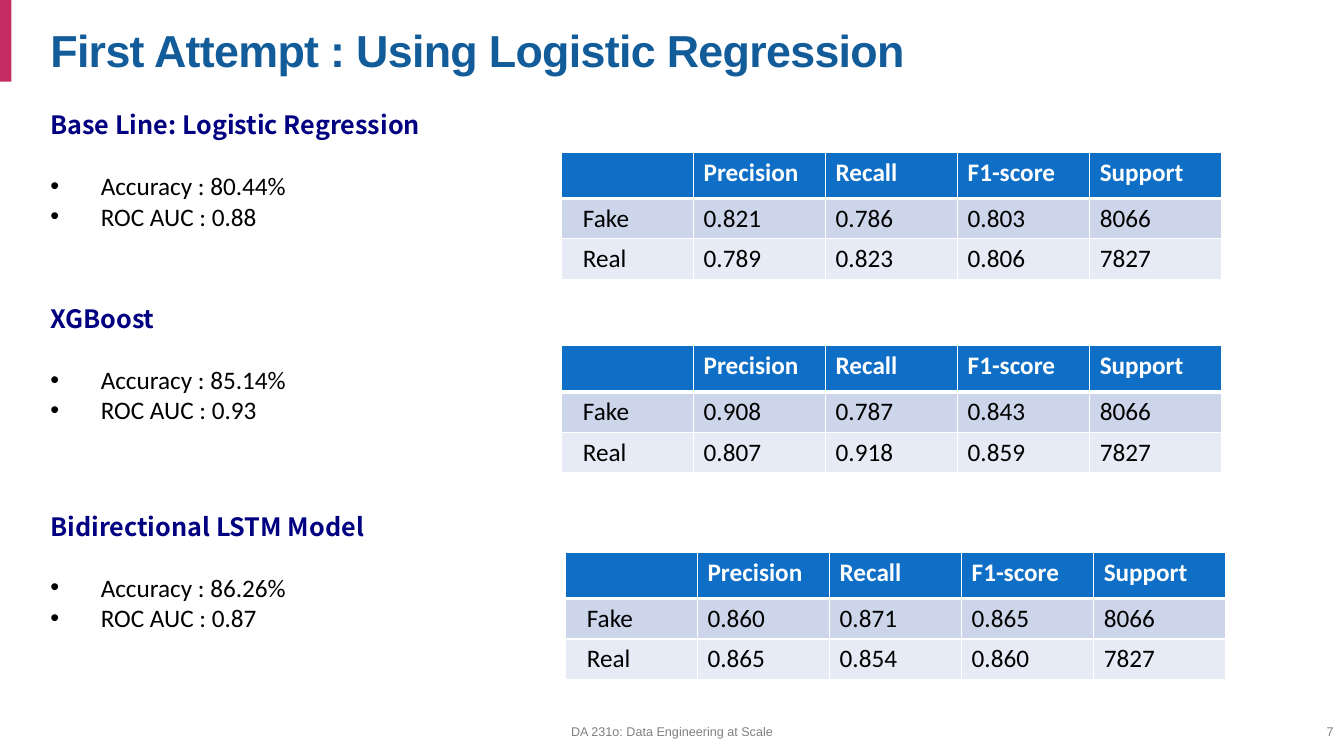
from lxml.etree import SubElement
from pptx import Presentation
from pptx.dml.color import RGBColor
from pptx.enum.shapes import MSO_SHAPE
from pptx.enum.text import MSO_ANCHOR, PP_ALIGN
from pptx.oxml.ns import qn
from pptx.util import Cm, Pt

CRIMSON = RGBColor(0xC3, 0x2B, 0x61)
TITLE_BLUE = RGBColor(0x12, 0x5C, 0x99)
NAVY = RGBColor(0x00, 0x00, 0x80)
HEADER_BLUE = RGBColor(0x0F, 0x6F, 0xC6)
BAND_DARK = RGBColor(0xCC, 0xD5, 0xEA)
BAND_LIGHT = RGBColor(0xE7, 0xEB, 0xF5)
GRAY = RGBColor(0x80, 0x80, 0x80)
BLACK = RGBColor(0x00, 0x00, 0x00)
WHITE = RGBColor(0xFF, 0xFF, 0xFF)

HEADER = ["", "Precision", "Recall", "F1-score", "Support"]

# Each model: heading, metrics, (top, height) of text, (left, top) of table, rows
MODELS = [
    ("Base Line: Logistic Regression", ["Accuracy : 80.44%", "ROC AUC : 0.88"],
     (2.64, 4.88), (14.15, 3.84),
     [["Fake", "0.821", "0.786", "0.803", "8066"],
      ["Real", "0.789", "0.823", "0.806", "7827"]]),
    ("XGBoost", ["Accuracy : 85.14%", "ROC AUC : 0.93"],
     (7.52, 5.64), (14.15, 8.71),
     [["Fake", "0.908", "0.787", "0.843", "8066"],
      ["Real", "0.807", "0.918", "0.859", "7827"]]),
    ("Bidirectional LSTM Model", ["Accuracy : 86.26%", "ROC AUC : 0.87"],
     (12.75, 5.64), (14.25, 13.92),
     [["Fake", "0.860", "0.871", "0.865", "8066"],
      ["Real", "0.865", "0.854", "0.860", "7827"]]),
]


class SlideBuilder:
    heading_font = "Noto Sans CJK SC"
    body_font = "Calibri"
    frame_font = "Arial"
    body_size = 18

    def __init__(self, slide):
        self.slide = slide

    def format_runs(self, paragraph, font, size, color, bold=False):
        for run in paragraph.runs:
            run.font.name = font
            run.font.size = Pt(size)
            run.font.bold = bold
            run.font.color.rgb = color

    def bar(self, left, top, width, height, color):
        shape = self.slide.shapes.add_shape(
            MSO_SHAPE.RECTANGLE, Cm(left), Cm(top), Cm(width), Cm(height))
        shape.shadow.inherit = False
        shape.fill.solid()
        shape.fill.fore_color.rgb = color
        shape.line.fill.background()

    def text_box(self, left, top, width, height, text, anchor=MSO_ANCHOR.TOP):
        box = self.slide.shapes.add_textbox(Cm(left), Cm(top), Cm(width), Cm(height))
        text_frame = box.text_frame
        text_frame.word_wrap = True
        text_frame.vertical_anchor = anchor
        text_frame.text = text
        return text_frame

    def title(self, text):
        text_frame = self.text_box(1.02, 0.3, 32.03, 1.75, text, MSO_ANCHOR.BOTTOM)
        paragraph = text_frame.paragraphs[0]
        paragraph.line_spacing = 0.85
        self.format_runs(paragraph, self.frame_font, 32, TITLE_BLUE, True)
        paragraph.runs[0].font._element.set("spc", "-50")

    def footer(self, left, width, text, alignment):
        text_frame = self.text_box(left, 17.93, width, 1.02, text, MSO_ANCHOR.MIDDLE)
        paragraph = text_frame.paragraphs[0]
        paragraph.alignment = alignment
        self.format_runs(paragraph, self.frame_font, 9, GRAY)

    def model_summary(self, top, height, heading, metrics):
        text_frame = self.text_box(1.02, top, 31.24, height, heading)
        self.format_runs(text_frame.paragraphs[0], self.heading_font,
                         self.body_size, NAVY, True)
        for index, metric in enumerate(metrics):
            paragraph = text_frame.add_paragraph()
            paragraph.text = metric
            paragraph.space_before = Pt(22 if index == 0 else 0)
            self.format_runs(paragraph, self.body_font, self.body_size, BLACK)
            self.bullet(paragraph)

    def bullet(self, paragraph):
        properties = paragraph._p.get_or_add_pPr()
        properties.set("marL", str(Cm(1.27)))
        properties.set("indent", str(Cm(-1.27)))
        SubElement(properties, qn("a:buFont")).set("typeface", self.frame_font)
        SubElement(properties, qn("a:buChar")).set("char", "•")

    def score_table(self, left, top, rows):
        lines = [HEADER] + rows
        heights = [1.16, 1.02, 1.02]
        fills = [HEADER_BLUE, BAND_DARK, BAND_LIGHT]
        table = self.slide.shapes.add_table(
            len(lines), len(HEADER), Cm(left), Cm(top),
            Cm(16.64), Cm(sum(heights))).table
        for row_index, values in enumerate(lines):
            table.rows[row_index].height = Cm(heights[row_index])
            is_header = row_index == 0
            for column_index, value in enumerate(values):
                cell = table.cell(row_index, column_index)
                cell.text = value
                if column_index == 0:
                    cell.margin_left = Cm(0.54)
                self.format_runs(cell.text_frame.paragraphs[0], self.body_font,
                                 self.body_size, WHITE if is_header else BLACK,
                                 is_header)
                self.cell_borders(cell, top=3 if row_index == 1 else 1,
                                  bottom=3 if is_header else 1)
                cell.fill.solid()
                cell.fill.fore_color.rgb = fills[row_index]

    def cell_borders(self, cell, top, bottom):
        properties = cell._tc.get_or_add_tcPr()
        for side, width in (("L", 1), ("R", 1), ("T", top), ("B", bottom)):
            line = SubElement(properties, qn(f"a:ln{side}"), w=str(Pt(width)))
            fill = SubElement(line, qn("a:solidFill"))
            SubElement(fill, qn("a:srgbClr")).set("val", str(WHITE))


def main():
    presentation = Presentation()
    presentation.slide_width = Cm(33.87)
    presentation.slide_height = Cm(19.05)
    builder = SlideBuilder(presentation.slides.add_slide(presentation.slide_layouts[6]))

    # Accent bar and title
    builder.bar(-0.3, 0, 0.59, 2.06, CRIMSON)
    builder.title("First Attempt : Using Logistic Regression")

    # One summary and one score table per model
    for heading, metrics, text_place, table_place, rows in MODELS:
        builder.model_summary(*text_place, heading, metrics)
        builder.score_table(*table_place, rows)

    # Footer and slide number
    builder.footer(10.24, 13.39, "DA 231o: Data Engineering at Scale", PP_ALIGN.CENTER)
    builder.footer(30.23, 3.63, "7", PP_ALIGN.RIGHT)

    presentation.save("out.pptx")


if __name__ == "__main__":
    main()
